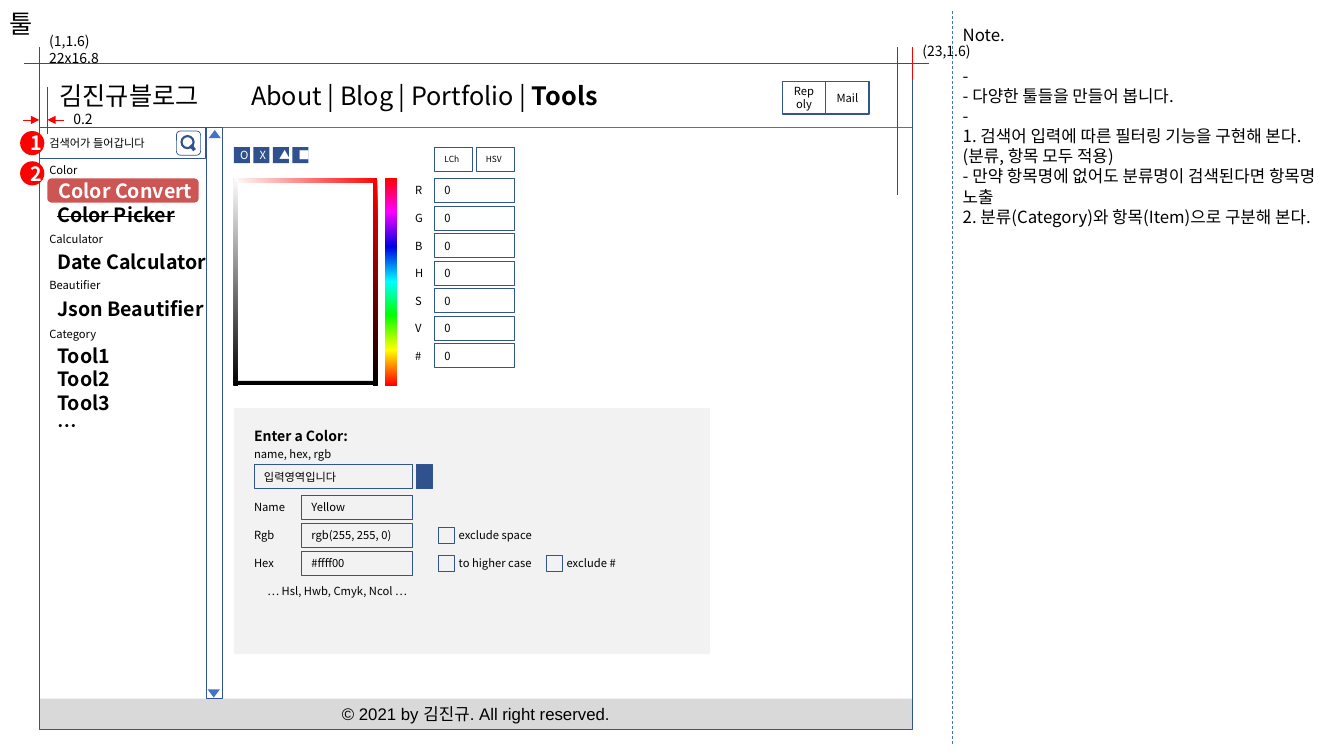
from dataclasses import dataclass
from typing import Any, NamedTuple, Optional, Sequence, Union

from lxml.etree import SubElement
from pptx import Presentation
from pptx.dml.color import RGBColor
from pptx.enum.dml import MSO_LINE
from pptx.enum.shapes import MSO_CONNECTOR, MSO_SHAPE as SHP
from pptx.enum.text import MSO_ANCHOR as ANC, PP_ALIGN as AL
from pptx.oxml.ns import qn
from pptx.util import Inches, Pt


@dataclass(frozen=True)
class Theme:
    font: str = "Noto Sans CJK KR"
    footer_font: str = "Arial"
    black: str = "000000"
    white: str = "FFFFFF"
    red: str = "FF0000"
    border: str = "325491"
    navy: str = "2F528F"
    blue: str = "4472C4"
    panel: str = "F2F2F2"
    footer: str = "D9D9D9"
    selected: str = "CD5554"
    tiny: int = 6
    small: int = 8
    label: int = 10
    body: int = 12
    item: int = 14
    title: int = 18


T = Theme()


class Para(NamedTuple):
    text: str
    gap: float = 0
    bold_tail: str = ""
    strike: bool = False


@dataclass(frozen=True)
class Box:
    """A text box when geom is None, otherwise a preset shape."""
    x: float
    y: float
    w: float
    h: float
    text: Union[str, Sequence[Para]] = ""
    geom: Optional[Any] = None
    fill: Optional[str] = None
    line: Optional[str] = None
    line_w: float = 0.5
    size: int = T.small
    color: str = T.black
    bold: bool = False
    font: str = T.font
    align: Any = AL.LEFT
    anchor: Any = ANC.MIDDLE
    left: float = 0.1
    right: float = 0.1
    rot: int = 0
    tab: float = 0


class Line(NamedTuple):
    x1: float
    y1: float
    x2: float
    y2: float
    color: str = T.red
    width: float = 0.5
    dash: bool = False
    arrow: bool = False


class Gradient(NamedTuple):
    x: float
    y: float
    w: float
    h: float
    angle: int
    stops: Sequence[tuple[int, str]]


def add_run(p: Any, text: str, box: Box, bold: bool, strike: bool) -> None:
    r = p.add_run()
    r.text = text
    for name, value in {"name": box.font, "size": Pt(box.size), "bold": bold}.items():
        setattr(r.font, name, value)
    r.font.color.rgb = RGBColor.from_string(box.color)
    rpr = r.font._element
    SubElement(rpr, qn("a:ea")).set("typeface", box.font)
    if strike:
        rpr.set("strike", "sngStrike")


def write_text(tf: Any, box: Box) -> None:
    frame = {"word_wrap": True, "vertical_anchor": box.anchor,
             "margin_left": Inches(box.left), "margin_right": Inches(box.right)}
    for name, value in frame.items():
        setattr(tf, name, value)
    paras = [Para(box.text)] if isinstance(box.text, str) else box.text
    for i, para in enumerate(paras):
        p = tf.paragraphs[0] if i == 0 else tf.add_paragraph()
        p.alignment = box.align
        if para.gap:
            p.space_before = Pt(para.gap)
        if box.tab:
            tabs = SubElement(p._p.get_or_add_pPr(), qn("a:tabLst"))
            tab = SubElement(tabs, qn("a:tab"))
            tab.set("pos", str(Inches(box.tab)))
            tab.set("algn", "l")
        add_run(p, para.text, box, box.bold, para.strike)
        if para.bold_tail:
            add_run(p, para.bold_tail, box, True, False)


def draw_box(shapes: Any, box: Box) -> None:
    area = [Inches(v) for v in (box.x, box.y, box.w, box.h)]
    if box.geom is None:
        sp = shapes.add_textbox(*area)
    else:
        sp = shapes.add_shape(box.geom, *area)
        sp.shadow.inherit = False
        sp.rotation = box.rot
        if box.fill:
            sp.fill.solid()
            sp.fill.fore_color.rgb = RGBColor.from_string(box.fill)
        else:
            sp.fill.background()
        if box.line:
            sp.line.color.rgb = RGBColor.from_string(box.line)
            sp.line.width = Pt(box.line_w)
        else:
            sp.line.fill.background()
    if box.text:
        write_text(sp.text_frame, box)


def draw_line(shapes: Any, ln: Line) -> None:
    cn = shapes.add_connector(MSO_CONNECTOR.STRAIGHT, *[Inches(v) for v in ln[:4]])
    cn.line.color.rgb = RGBColor.from_string(ln.color)
    cn.line.width = Pt(ln.width)
    if ln.dash:
        cn.line.dash_style = MSO_LINE.DASH
    if ln.arrow:
        SubElement(cn.line._get_or_add_ln(), qn("a:tailEnd")).set("type", "triangle")
    SubElement(cn._element.spPr, qn("a:effectLst"))


def draw_gradient(shapes: Any, bar: Gradient) -> None:
    sp = shapes.add_shape(SHP.RECTANGLE, *[Inches(v) for v in bar[:4]])
    sp.shadow.inherit = False
    sp.line.fill.background()
    sp.fill.gradient()
    grad = sp._element.spPr.find(qn("a:gradFill"))
    for child in list(grad):
        grad.remove(child)
    stops = SubElement(grad, qn("a:gsLst"))
    for pos, color in bar.stops:
        gs = SubElement(stops, qn("a:gs"))
        gs.set("pos", str(pos * 1000))
        SubElement(gs, qn("a:srgbClr")).set("val", color)
    SubElement(grad, qn("a:lin")).set("ang", str(bar.angle * 60000))


def field(x: float, y: float, w: float, text: str = "", h: float = 0.24, **fmt: Any) -> Box:
    return Box(x, y, w, h, text, SHP.RECTANGLE, **{"line": T.border, **fmt})


def caption(x: float, y: float, w: float, text: str, h: float = 0.24, **fmt: Any) -> Box:
    return Box(x, y, w, h, text, left=0, **fmt)


def page_parts() -> list:
    gap = T.item * 1.2
    tools = [Para("Color Picker", strike=True), Para("Date Calculator", gap),
             Para("Json Beautifier", gap), Para("Tool1", gap),
             Para("Tool2"), Para("Tool3"), Para("…")]
    notes = [Para("Note."), Para("-", T.body * 1.2), Para("- 다양한 툴들을 만들어 봅니다."), Para("-"),
             Para("1. 검색어 입력에 따른 필터링 기능을 구현해 본다. (분류, 항목 모두 적용)"),
             Para("- 만약 항목명에 없어도 분류명이 검색된다면 항목명 노출"),
             Para("2. 분류(Category)와 항목(Item)으로 구분해 본다.")]
    menu = [Para("김진규블로그\tAbout | Blog | Portfolio | ", bold_tail="Tools")]
    categories = {"Color": 1.57, "Calculator": 2.25, "Beautifier": 2.71, "Category": 3.19}
    return [
        # Sidebar list
        Box(0.47, 1.96, 8.5, 4.97, tools, size=T.item, bold=True, anchor=ANC.TOP),
        *[Box(0.39, y, 1.65, 0.24, name) for name, y in categories.items()],
        # Page frame, header, footer and notes
        Box(2.32, 4.05, 4.72, 2.44, geom=SHP.RECTANGLE, fill=T.panel),
        Box(0.39, 6.93, 8.66, 0.31, "© 2021 by 김진규. All right reserved.", SHP.RECTANGLE,
            fill=T.footer, size=T.body, font=T.footer_font, align=AL.CENTER, anchor=ANC.TOP),
        Box(0, 0, 9.45, 0.47, "툴", size=T.title),
        field(0.39, 0.63, 8.66, menu, 0.63, line=T.blue, size=T.title, left=0.2, tab=1.9),
        field(0.39, 0.63, 8.66, h=6.61),
        *[field(7.76 + 0.43 * i, 0.81, 0.43, name, 0.32, line_w=1, align=AL.CENTER)
          for i, name in enumerate(("Repoly", "Mail"))],
        Box(9.45, 0.2, 3.88, 7.3, notes, size=T.body, anchor=ANC.TOP),
        Line(9.45, 0.11, 9.45, 7.39, T.blue, dash=True),
        # Dimension marks
        Box(0.39, 0.37, 1.1, 0.24, "(1,1.6) 22x16.8", size=T.label),
        Box(0.63, 1.1, 0.4, 0.16, "0.2", size=T.label),
        Box(9.05, 0.37, 0.71, 0.27, "(23,1.6)", size=T.label),
        *[Line(x, 0.79, x, 0.47) for x in (0.39, 9.05)],
        *[Line(x, 0.63, x + 0.31, 0.63) for x in (0.24, 8.9)],
        *[Line(x, 1.33, x, 0.86) for x in (0.39, 0.47)],
        *[Line(x1, 1.19, x2, 1.19, arrow=True) for x1, x2 in ((0.23, 0.39), (0.63, 0.47))],
        Line(8.9, 1.93, 8.9, 0.47),
        # Scroll bar and search field
        field(2.05, 1.26, 0.16, h=5.67, fill=T.white),
        field(0.39, 1.26, 1.65, "검색어가 들어갑니다", 0.31),
        # Colour picker
        *[field(4.31 + 0.41 * i, 1.46, 0.38, name, size=T.tiny)
          for i, name in enumerate(("LCh", "HSV"))],
        *[part for i, name in enumerate("RGBHSV#") for y in [1.77 + 1.64 / 6 * i]
          for part in (Box(4.02, y, 0.24, 0.24, name, align=AL.CENTER), field(4.31, y, 0.79, "0"))],
        *[Box(2.32 + 0.58 / 3 * i, 1.46, 0.16, 0.16, mark, SHP.RECTANGLE, fill=T.navy,
              color=T.white, align=AL.CENTER) for i, mark in enumerate("OX▲■")],
        Gradient(2.32, 1.77, 1.42, 0.04, 135, [(0, T.red), (100, T.white)]),
        Gradient(3.82, 1.77, 0.12, 2.05, 90, [
            (0, T.red), (16, "FF00FF"), (33, "0000E1"), (50, "00FFFF"),
            (66, "00FF00"), (83, "FFFF00"), (100, T.red)]),
        Gradient(3.7, 1.77, 0.04, 2.05, 135, [(0, T.red), (100, T.black)]),
        Gradient(2.32, 1.77, 0.04, 2.05, 135, [(0, T.white), (100, T.black)]),
        Box(2.32, 3.78, 1.42, 0.04, geom=SHP.RECTANGLE, fill=T.black),
        # Colour converter
        caption(2.52, 4.2, 2.13, "Enter a Color:", size=T.label, bold=True),
        caption(2.52, 4.42, 1.57, "name, hex, rgb", 0.16),
        field(2.52, 4.61, 1.57, "입력영역입니다"),
        field(4.13, 4.61, 0.16, fill=T.navy),
        *[part for i, (name, value) in enumerate(
            (("Name", "Yellow"), ("Rgb", "rgb(255, 255, 0)"), ("Hex", "#ffff00")))
          for y in [4.91 + 0.28 * i]
          for part in (caption(2.52, y, 0.47, name), field(2.99, y, 1.1, value))],
        Box(2.52, 5.74, 1.65, 0.24, "… Hsl, Hwb, Cmyk, Ncol …", align=AL.CENTER),
        *[part for x, y, name in ((4.35, 5.19, "exclude space"), (4.35, 5.47, "to higher case"),
                                  (5.42, 5.47, "exclude #"))
          for part in (field(x, y + 0.04, 0.16, h=0.16), caption(x + 0.2, y, 0.87, name))],
        # Selected tool, search icon, callouts and scroll arrows
        Box(0.47, 1.77, 1.5, 0.24, "Color Convert", SHP.ROUNDED_RECTANGLE, fill=T.selected,
            size=T.item, color=T.white, bold=True, right=0),
        Box(1.8, 1.35, 0.12, 0.12, geom=SHP.OVAL, line=T.navy, line_w=1.5),
        Line(1.89, 1.44, 1.93, 1.49, T.navy, 2.5),
        Box(1.75, 1.3, 0.24, 0.24, geom=SHP.ROUNDED_RECTANGLE, line=T.border),
        *[Box(0.2, 1.3 + 0.3 * i, 0.24, 0.24, mark, SHP.OVAL, fill=T.red, size=T.item,
              color=T.white, bold=True, align=AL.CENTER) for i, mark in enumerate("12")],
        *[Box(x, y, 0.12, 0.08, geom=SHP.ISOSCELES_TRIANGLE, fill=T.blue, rot=rot)
          for x, y, rot in ((2.07, 1.29, 0), (2.06, 6.84, 180))],
    ]


def main() -> None:
    prs = Presentation()
    prs.slide_width, prs.slide_height = Inches(13.33), Inches(7.5)
    shapes = prs.slides.add_slide(prs.slide_layouts[6]).shapes
    draw = {Box: draw_box, Line: draw_line, Gradient: draw_gradient}
    for part in page_parts():
        draw[type(part)](shapes, part)
    prs.save("out.pptx")


if __name__ == "__main__":
    main()
